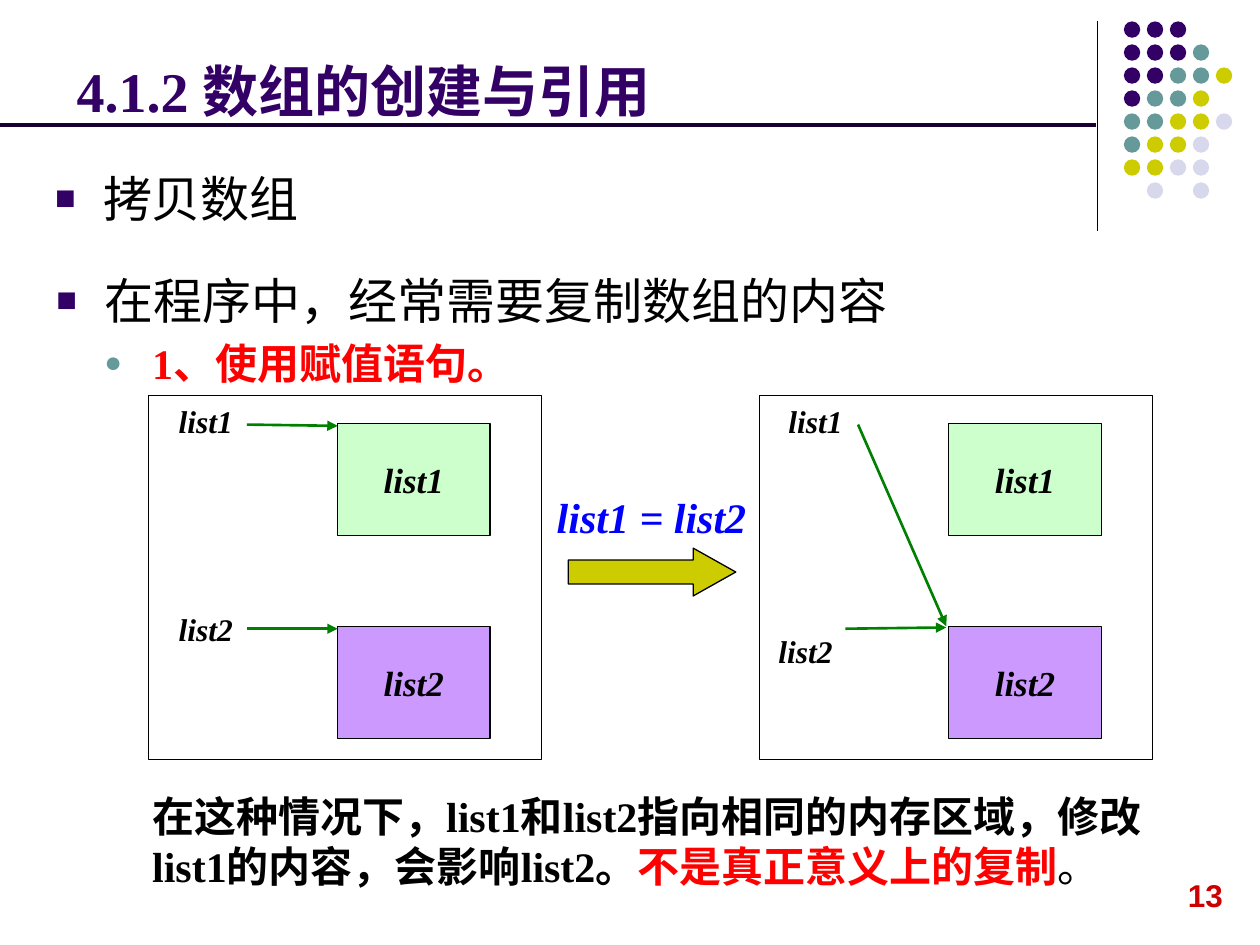
from lxml import etree
from pptx import Presentation
from pptx import util as u
from pptx.dml.color import RGBColor
from pptx.enum import shapes, text
from pptx.oxml import ns

COLORS = {
    "black": "000000", "indigo": "330066", "teal": "669999", "olive": "CCCC00",
    "mist": "D8D8EC", "red": "FF0000", "number": "CC0000", "blue": "0000FF",
    "green": "008000", "mint": "CCFFCC", "violet": "CC99FF", "rule": "190033",
}
SERIF, SANS, CJK = "Times New Roman", "Arial", "Noto Sans CJK SC"
Inches = u.Inches

deck = Presentation()
deck.slide_width, deck.slide_height = Inches(10), Inches(7.5)
page = deck.slides.add_slide(deck.slide_layouts[6])


def color(name):
    return RGBColor.from_string(COLORS[name])


def sub(parent, tag, **attributes):
    return etree.SubElement(parent, ns.qn(tag), attributes)


# Each shape, line and text entry below is data; the loops at the end draw them.
lines = [
    # start, end, colour, width, arrowhead
    ((8.71, 0.17), (8.71, 1.83), "black", 0.75, False),
    ((0, 0.99), (8.7, 0.99), "rule", 2.25, False),
    ((1.96, 3.37), (2.68, 3.38), "green", 1.5, True),
    ((1.96, 4.99), (2.68, 4.99), "green", 1.5, True),
    ((6.81, 3.37), (7.51, 4.97), "green", 1.5, True),
    ((6.71, 4.99), (7.51, 4.98), "green", 1.5, True),
]

# Text boxes: place, anchor, wrap, paragraphs of (bullet, line height, runs)
# A run is text, size, font, colour, bold, italic
square = ("■", "indigo", 0.38)
dot = ("●", "teal", 0.76)
texts = [
    ((0.51, 0.24, 8.25, 0.79), "bottom", True, [
        (None, 38, [("4.1.2 数组的创建与引用", 32, SERIF, "indigo", True, False)])]),
    ((0.34, 1.29, 2.16, 0.57), "top", True, [
        (square, 33.5, [("拷贝数组", 28, CJK, "black", False, False)])]),
    ((0.35, 2.1, 9, 1), "top", True, [
        (square, 33.5, [("在程序中，经常需要复制数组的内容", 28, CJK, "black", False, False)]),
        (dot, 28.6, [("1、使用赋值语句。", 24, SERIF, "red", True, False)])]),
    ((1.11, 6.23, 8.24, 1.25), "top", True, [
        (None, 28.6, [
            ("在这种情况下，list1和list2指向相同的内存区域，修改list1的内容，会影响list2。",
             24, SERIF, "black", True, False),
            ("不是真正意义上的复制", 24, SERIF, "red", True, False),
            ("。", 24, SERIF, "black", False, False)])]),
    ((4.32, 3.85, 1.72, 0.5), "top", True, [
        (None, None, [("list1 = list2", 24, SERIF, "blue", True, True)])]),
    ((9.33, 6.9, 0.48, 0.4), "top", False, [
        (None, None, [("13", 18, SANS, "number", True, False)])]),
]
for name, left, top in [("list1", 1.32, 3.14), ("list2", 1.32, 4.79),
                        ("list1", 6.16, 3.14), ("list2", 6.08, 4.97)]:
    texts.append(((left, top, 0.63, 0.4), "top", False, [
        (None, None, [(name, 18, SERIF, "black", True, True)])]))

# Shapes: preset, place, fill, outline, label
preset = shapes.MSO_SHAPE
figures = []
dot_rows = ["III", "IIIT", "IITTO", "ITTO", "TTOOM", "TOOM", "OOMM", " M M"]
dot_fills = {"I": "indigo", "T": "teal", "O": "olive", "M": "mist"}
dot_pitch = 0.73 / 4
for row, pattern in enumerate(dot_rows):
    for column, key in enumerate(pattern):
        if key != " ":
            place = (8.92 + column * dot_pitch, 0.17 + row * dot_pitch, 0.13, 0.13)
            figures.append((preset.OVAL, place, dot_fills[key], False, None))
for panel_left in (1.18, 6.03):
    figures.append((preset.RECTANGLE, (panel_left, 3.14, 3.12, 2.89), None, True, None))
    for name, top, fill in [("list1", 3.36, "mint"), ("list2", 4.97, "violet")]:
        place = (panel_left + 1.5, top, 1.21, 0.89)
        figures.append((preset.RECTANGLE, place, fill, True, name))
figures.append((preset.RIGHT_ARROW, (4.51, 4.35, 1.33, 0.38), "olive", True, None))

for kind, place, fill, outlined, label in figures:
    shape = page.shapes.add_shape(kind, *map(Inches, place))
    shape.shadow.inherit = False
    if kind == preset.RIGHT_ARROW:
        shape.adjustments[0], shape.adjustments[1] = 0.5, 0.89
    if fill:
        shape.fill.solid()
        shape.fill.fore_color.rgb = color(fill)
    else:
        shape.fill.background()
    if outlined:
        shape.line.color.rgb = color("black")
        shape.line.width = u.Pt(0.75)
    else:
        shape.line.fill.background()
    if label:
        frame = shape.text_frame
        frame.word_wrap = False
        frame.vertical_anchor = text.MSO_ANCHOR.MIDDLE
        para = frame.paragraphs[0]
        para.alignment = text.PP_ALIGN.CENTER
        span = para.add_run()
        span.text = label
        span.font.size, span.font.name = u.Pt(20), SERIF
        span.font.bold = span.font.italic = True
        span.font.color.rgb = color("black")

for start, end, tint, width, arrow in lines:
    line = page.shapes.add_connector(
        shapes.MSO_CONNECTOR.STRAIGHT, *map(Inches, start + end))
    line.line.color.rgb = color(tint)
    line.line.width = u.Pt(width)
    if arrow:
        sub(line.line._get_or_add_ln(), "a:tailEnd", type="triangle")
    sub(line._element.spPr, "a:effectLst")

anchors = {"top": text.MSO_ANCHOR.TOP, "bottom": text.MSO_ANCHOR.BOTTOM}
for place, anchor, wrap, paragraphs in texts:
    frame = page.shapes.add_textbox(*map(Inches, place)).text_frame
    frame.word_wrap = wrap
    frame.vertical_anchor = anchors[anchor]
    for index, (bullet, height, spans) in enumerate(paragraphs):
        para = frame.add_paragraph() if index else frame.paragraphs[0]
        if bullet:
            mark, tint, margin = bullet
            props = para._p.get_or_add_pPr()
            props.set("marL", str(Inches(margin)))
            props.set("indent", str(-Inches(0.38)))
            sub(sub(props, "a:buClr"), "a:srgbClr", val=COLORS[tint])
            sub(props, "a:buSzPct", val="70000")
            sub(props, "a:buFont", typeface=SANS)
            sub(props, "a:buChar", char=mark)
        if height:
            para.line_spacing = u.Pt(height)
        if index:
            para.space_before = u.Pt(4.8)
        for words, size, font, tint, bold, italic in spans:
            span = para.add_run()
            span.text = words
            span.font.size, span.font.name = u.Pt(size), font
            span.font.bold, span.font.italic = bold, italic
            span.font.color.rgb = color(tint)
            sub(span._r.get_or_add_rPr(), "a:ea", typeface=CJK)

deck.save("out.pptx")
